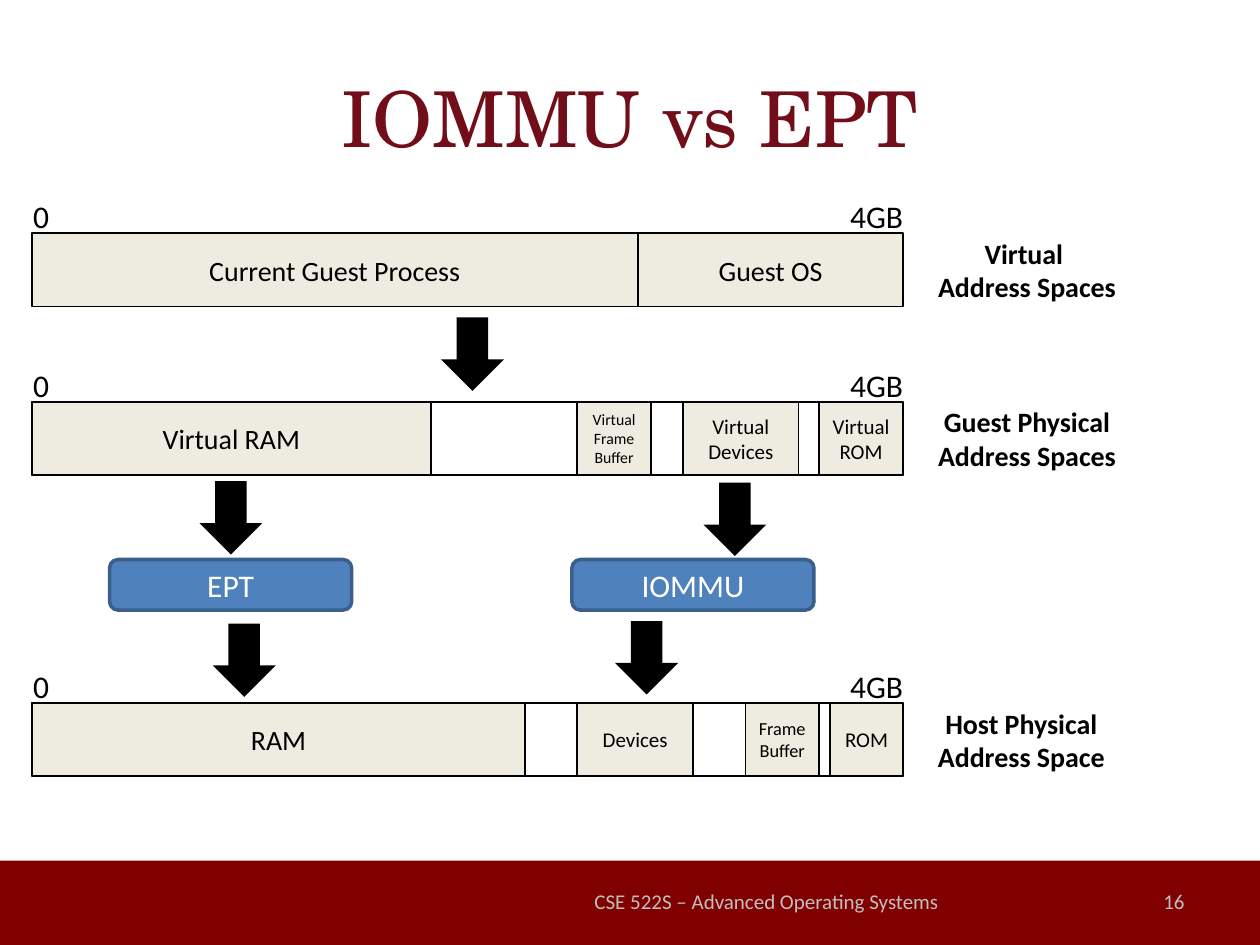
"""Build a slide comparing IOMMU and EPT address translation."""
from dataclasses import dataclass

from pptx import Presentation
from pptx.dml.color import RGBColor
from pptx.enum.shapes import MSO_SHAPE as Preset
from pptx.enum.text import MSO_ANCHOR as Anchor, PP_ALIGN as Align
from pptx.util import Cm, Pt


@dataclass(frozen=True)
class Theme:
    black: str = "000000"
    white: str = "FFFFFF"
    band: str = "800000"
    title: str = "720D1A"
    segment: str = "EEECE1"
    unit: str = "4F81BD"
    unit_line: str = "3A5F8C"
    footer: str = "BFBFBF"
    body_font: str = "Calibri"
    title_font: str = "TeX Gyre Schola"
    title_size: float = 44
    label_size: float = 18
    body_size: float = 16
    small_size: float = 12
    compact_size: float = 10.5
    tiny_size: float = 9


theme = Theme()
presentation = Presentation()
presentation.slide_width = Cm(25.4)
presentation.slide_height = Cm(19.05)
slide = presentation.slides.add_slide(presentation.slide_layouts[6])


def write(shape, text, size, color=theme.black, align=Align.CENTER,
          anchor=Anchor.MIDDLE, wrap=True, bold=False, font=theme.body_font):
    frame = shape.text_frame
    frame.word_wrap = wrap
    frame.vertical_anchor = anchor
    for index, line in enumerate(text.split("\n")):
        paragraph = frame.paragraphs[0] if index == 0 else frame.add_paragraph()
        paragraph.alignment = align
        run = paragraph.add_run()
        run.text = line
        run.font.name = font
        run.font.size = Pt(size)
        run.font.bold = bold
        run.font.color.rgb = RGBColor.from_string(color)


def add_block(preset, left, top, width, height, fill, line=None, line_width=1):
    shape = slide.shapes.add_shape(preset, Cm(left), Cm(top), Cm(width), Cm(height))
    shape.shadow.inherit = False
    shape.fill.solid()
    shape.fill.fore_color.rgb = RGBColor.from_string(fill)
    if line:
        shape.line.color.rgb = RGBColor.from_string(line)
        shape.line.width = Pt(line_width)
    else:
        shape.line.fill.background()
    return shape


add_block(Preset.RECTANGLE, 0, 17.35, 25.4, 1.7, theme.band)
title = slide.shapes.add_textbox(Cm(1.27), Cm(0.76), Cm(22.86), Cm(3.18))
write(title, "IOMMU vs EPT", theme.title_size, theme.title, font=theme.title_font)

bar_left, bar_width, bar_height = 0.64, 17.57, 1.48
whole_bar = (bar_left, bar_width, theme.body_size, "")
address_spaces = [
    (4.7, "Virtual \nAddress Spaces", 4.17, [
        (bar_left, 12.22, theme.body_size, "Current Guest Process"),
        (12.86, 5.35, theme.body_size, "Guest OS"),
    ]),
    (8.1, "Guest Physical\nAddress Spaces", 4.17, [
        whole_bar,
        (bar_left, 8.05, theme.body_size, "Virtual RAM"),
        (11.64, 1.48, theme.tiny_size, "Virtual\nFrame\nBuffer"),
        (13.77, 2.33, theme.small_size, "Virtual\nDevices"),
        (16.51, 1.7, theme.small_size, "Virtual\nROM"),
    ]),
    (14.17, "Host Physical\nAddress Space", 3.94, [
        whole_bar,
        (bar_left, 9.95, theme.body_size, "RAM"),
        (11.64, 2.33, theme.small_size, "Devices"),
        (15.03, 1.48, theme.compact_size, "Frame\nBuffer"),
        (16.73, 1.48, theme.small_size, "ROM"),
    ]),
]
for top, caption, caption_width, segments in address_spaces:
    for left, width, size, text in segments:
        fill = theme.segment if text else theme.white
        segment = add_block(Preset.RECTANGLE, left, top, width, bar_height, fill, theme.black)
        if text:
            segment.text_frame.margin_left = segment.text_frame.margin_right = 0
            write(segment, text, size)
    for left, width, text in [(0.42, 0.84, "0"), (16.89, 1.6, "4GB")]:
        label = slide.shapes.add_textbox(Cm(left), Cm(top - 0.85), Cm(width), Cm(1.02))
        write(label, text, theme.label_size, align=Align.LEFT, anchor=Anchor.TOP, wrap=False)
    heading = slide.shapes.add_textbox(Cm(18.62), Cm(top - 0.06), Cm(caption_width), Cm(1.63))
    write(heading, caption, theme.body_size, anchor=Anchor.TOP, wrap=False, bold=True)

for left, text in [(2.21, "EPT"), (11.53, "IOMMU")]:
    unit = add_block(Preset.ROUNDED_RECTANGLE, left, 11.28, 4.88, 1.02,
                     theme.unit, theme.unit_line, 2)
    write(unit, text, theme.label_size, theme.white)

for left, top in [(8.89, 6.4), (4.02, 9.7), (4.29, 12.57), (14.18, 9.73), (12.4, 12.52)]:
    add_block(Preset.DOWN_ARROW, left, top, 1.27, 1.48, theme.black)

for left, width, text, align in [
    (11.43, 8.05, "CSE 522S – Advanced Operating Systems", Align.CENTER),
    (18.21, 5.92, "16", Align.RIGHT),
]:
    footer = slide.shapes.add_textbox(Cm(left), Cm(17.65), Cm(width), Cm(1.02))
    write(footer, text, theme.small_size, theme.footer, align)

presentation.save("out.pptx")
